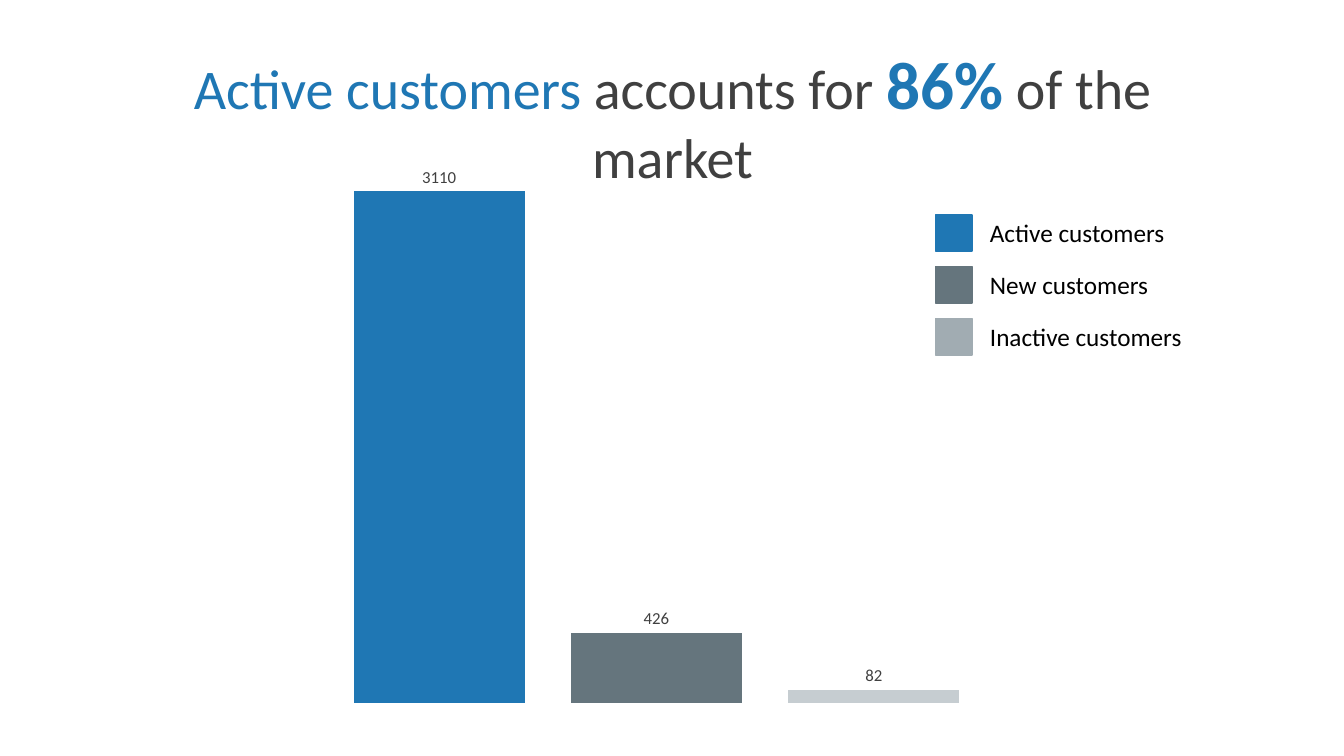
from lxml import etree
from pptx import Presentation
from pptx.chart.data import CategoryChartData
from pptx.dml.color import RGBColor
from pptx.enum.chart import XL_CHART_TYPE, XL_LABEL_POSITION
from pptx.enum.shapes import MSO_SHAPE
from pptx.enum.text import PP_ALIGN
from pptx.oxml.ns import qn
from pptx.util import Inches, Pt

# Content
FONT = "Calibri"
COLORS = {"blue": "1F77B4", "slate": "65757D", "gray": "A1ACB2",
          "light": "C6CDD1", "text": "404040", "black": "000000"}
TITLE = [  # text, size, color, bold
    ("Active customers ", 40, "blue", False),
    ("accounts for ", 40, "text", False),
    ("86%", 48, "blue", True),
    (" of the market", 40, "text", False),
]
SERIES = [("Series 1", 3110, "blue"), ("Series 2", 426, "slate"),
          ("Series 3", 82, "light")]
LEGEND = [("Active customers", "blue", 1.94), ("New customers", "slate", 1.94),
          ("Inactive customers", "gray", 2.22)]  # label, color, width
PLOT_AREA = {"x": 0.07, "y": 0.03, "w": 0.92, "h": 0.94}

# Legend geometry
SWATCH_LEFT, SWATCH_TOP, SWATCH = 9.28, 2.13, 0.36
LABEL_LEFT, LABEL_HEIGHT, ROW_STEP = 9.72, 0.4, 0.515


def rgb(name):
    return RGBColor.from_string(COLORS[name])


def style_font(font, size, color, bold=False):
    font.name = FONT
    font.size = Pt(size)
    font.bold = bold
    font.color.rgb = rgb(color)


def add_text(slide, left, top, width, height, runs, align=PP_ALIGN.LEFT):
    box = slide.shapes.add_textbox(Inches(left), Inches(top),
                                   Inches(width), Inches(height))
    tf = box.text_frame
    tf.word_wrap = True
    p = tf.paragraphs[0]
    p.alignment = align
    for text, size, color, bold in runs:
        r = p.add_run()
        r.text = text
        style_font(r.font, size, color, bold)


def set_plot_layout(chart):
    plot_area = chart._chartSpace.chart.plotArea
    for old in plot_area.findall(qn("c:layout")):
        plot_area.remove(old)
    layout = etree.Element(qn("c:layout"))
    manual = etree.SubElement(layout, qn("c:manualLayout"))
    settings = [("layoutTarget", "inner"), ("xMode", "edge"), ("yMode", "edge")]
    for tag, value in settings + list(PLOT_AREA.items()):
        etree.SubElement(manual, qn(f"c:{tag}")).set("val", str(value))
    plot_area.insert(0, layout)


def add_customer_chart(slide):
    data = CategoryChartData()
    data.categories = ["1"]
    for name, value, _ in SERIES:
        data.add_series(name, [value])
    chart = slide.shapes.add_chart(
        XL_CHART_TYPE.COLUMN_CLUSTERED, Inches(0.91), Inches(1.08),
        Inches(10.57), Inches(6.08), data).chart
    chart.has_title = False
    chart.has_legend = False
    style_font(chart.font, 10, "black")
    for axis in (chart.category_axis, chart.value_axis):
        axis.has_major_gridlines = False
        axis.visible = False
    chart.value_axis.minimum_scale = 0
    chart.value_axis.maximum_scale = 3500
    plot = chart.plots[0]
    plot.gap_width = 219
    plot.overlap = -27
    plot.vary_by_categories = False
    for series, (_, _, color) in zip(plot.series, SERIES):
        series.format.fill.solid()
        series.format.fill.fore_color.rgb = rgb(color)
        labels = series.data_labels
        labels.show_value = True
        labels.position = XL_LABEL_POSITION.OUTSIDE_END
        style_font(labels.font, 12, "text")
    set_plot_layout(chart)


def add_legend_row(slide, row, label, color, width):
    top = SWATCH_TOP + row * ROW_STEP
    sp = slide.shapes.add_shape(MSO_SHAPE.RECTANGLE, Inches(SWATCH_LEFT),
                                Inches(top), Inches(SWATCH), Inches(SWATCH))
    sp.shadow.inherit = False
    sp.fill.solid()
    sp.fill.fore_color.rgb = rgb(color)
    sp.line.color.rgb = rgb(color)
    sp.line.width = Pt(1.25)
    label_top = top + (SWATCH - LABEL_HEIGHT) / 2
    add_text(slide, LABEL_LEFT, label_top, width, LABEL_HEIGHT,
             [(label, 18, "black", False)])


def main():
    prs = Presentation()
    prs.slide_width = Inches(13.33)
    prs.slide_height = Inches(7.5)
    slide = prs.slides.add_slide(prs.slide_layouts[6])

    # Chart
    add_customer_chart(slide)

    # Legend
    for row, (label, color, width) in enumerate(LEGEND):
        add_legend_row(slide, row, label, color, width)

    # Title
    add_text(slide, 1.06, 0.37, 11.22, 0.91, TITLE, PP_ALIGN.CENTER)

    prs.save("out.pptx")


if __name__ == "__main__":
    main()
